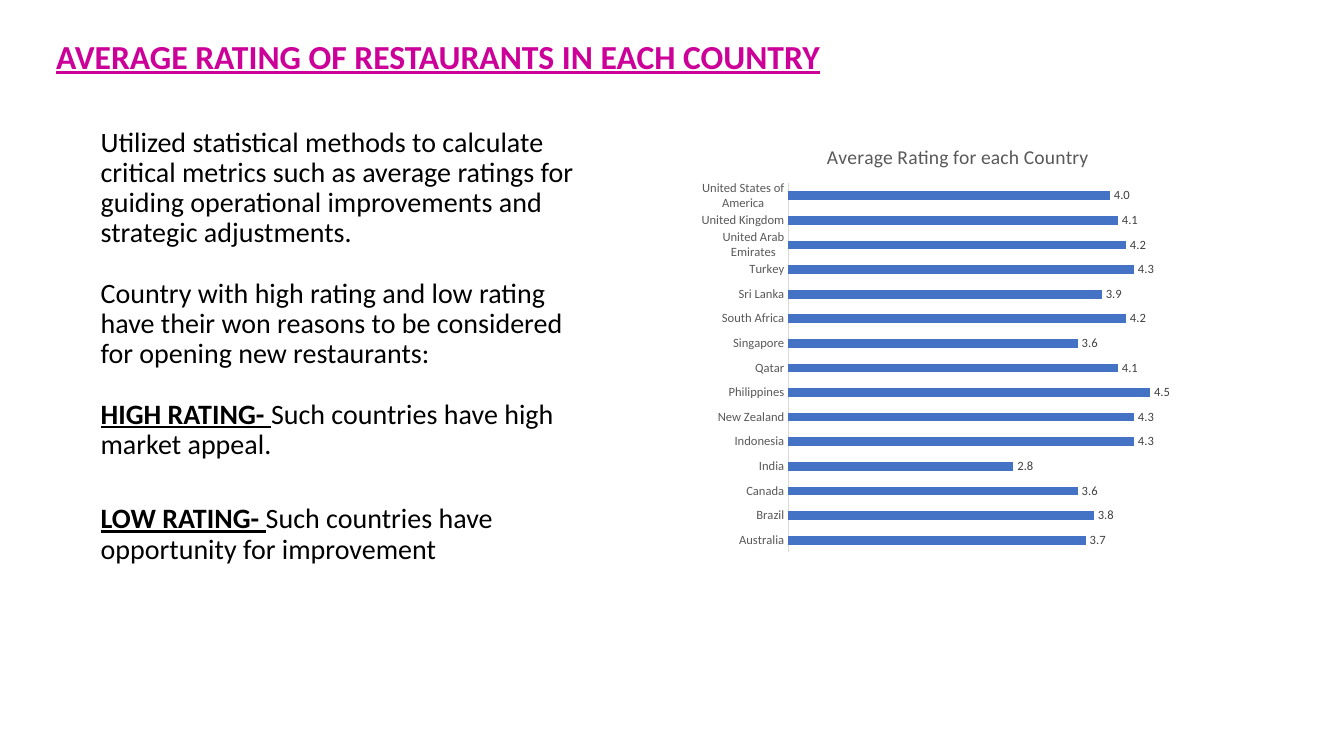
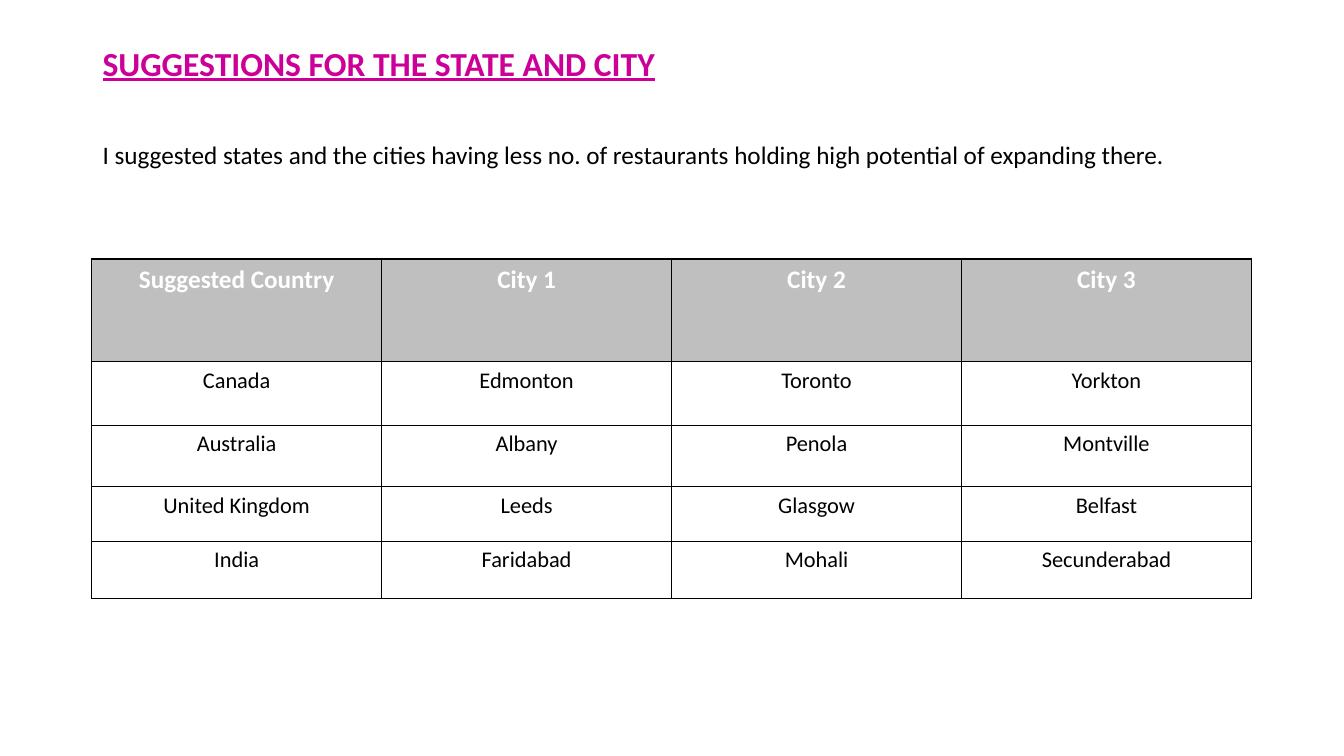
from lxml import etree
from pptx import Presentation
from pptx import util as u
from pptx.chart.data import CategoryChartData
from pptx.dml.color import RGBColor
from pptx.enum import chart as charts, text
from pptx.oxml import ns

Pt = u.Pt
FONT = "Calibri"
COLORS = {
    "title": "CC0099", "body": "000000", "bar": "4472C4", "axis": "D9D9D9",
    "axis_text": "595959", "label": "404040", "header": "BFBFBF",
    "header_text": "FFFFFF", "border": "000000",
}

RATINGS = {
    "Australia": 3.7, "Brazil": 3.8, "Canada": 3.6, "India": 2.8,
    "Indonesia": 4.3, "New Zealand": 4.3, "Philippines": 4.5, "Qatar": 4.1,
    "Singapore": 3.6, "South Africa": 4.2, "Sri Lanka": 3.9, "Turkey": 4.3,
    "United Arab Emirates": 4.2, "United Kingdom": 4.1,
    "United States of America": 4.0,
}
# Each paragraph: space before, underlined lead-in, text
REASONS = [
    (0, "", "Utilized statistical methods to calculate critical metrics such as "
            "average ratings for guiding operational improvements and strategic "
            "adjustments."),
    (21.6, "", "Country with high rating and low rating have their won reasons "
               "to be considered for opening new restaurants:"),
    (21.6, "HIGH RATING- ", "Such countries have high market appeal."),
    (31.6, "LOW RATING- ", "Such countries have opportunity for improvement"),
]
SUGGESTIONS = [
    ["Suggested Country", "City 1", "City 2", "City 3"],
    ["Canada", "Edmonton", "Toronto", "Yorkton"],
    ["Australia", "Albany", "Penola", "Montville"],
    ["United Kingdom", "Leeds", "Glasgow", "Belfast"],
    ["India", "Faridabad", "Mohali", "Secunderabad"],
]
ROW_HEIGHTS = [73.5, 45.3, 44, 39, 41]
COLUMN_WIDTH = 207.1


def rgb(name):
    return RGBColor.from_string(COLORS[name])


def style_font(font, size, color, **formats):
    for key, value in {"name": FONT, "size": Pt(size), **formats}.items():
        setattr(font, key, value)
    font.color.rgb = rgb(color)


def add_run(paragraph, words, size, color, **formats):
    run = paragraph.add_run()
    run.text = words
    style_font(run.font, size, color, **formats)


def add_frame(slide, left, top, width, height):
    frame = slide.shapes.add_textbox(*map(Pt, (left, top, width, height))).text_frame
    frame.word_wrap = True
    return frame


def add_title(slide, words, left, top, height):
    frame = add_frame(slide, left, top, 828, height)
    frame.vertical_anchor = text.MSO_ANCHOR.MIDDLE
    heading = frame.paragraphs[0]
    heading.line_spacing = 0.9
    add_run(heading, words, 24, "title", bold=True, underline=True)


def add_reasons(slide):
    frame = add_frame(slide, 64.8, 87.8, 353.5, 342.7)
    for i, (gap, lead, words) in enumerate(REASONS):
        reason = frame.add_paragraph() if i else frame.paragraphs[0]
        reason.line_spacing = 0.9
        reason.space_before = Pt(gap)
        if lead:
            add_run(reason, lead, 20, "body", bold=True, underline=True)
        add_run(reason, words, 20, "body")


def set_layout(parent, index, **fractions):
    """Place a chart part by fractions of the chart's size."""
    for old in parent.findall(ns.qn("c:layout")):
        parent.remove(old)
    layout = etree.Element(ns.qn("c:layout"))
    manual = etree.SubElement(layout, ns.qn("c:manualLayout"))
    for tag, value in fractions.items():
        etree.SubElement(manual, ns.qn(f"c:{tag}")).set("val", str(value))
    parent.insert(index, layout)


def add_rating_chart(slide):
    data = CategoryChartData(number_format="0.0")
    data.categories = list(RATINGS)
    data.add_series("Series 1", list(RATINGS.values()))
    chart = slide.shapes.add_chart(
        charts.XL_CHART_TYPE.BAR_CLUSTERED,
        *map(Pt, (501.1, 87.1, 360, 313.9)), data).chart
    chart.has_legend = False
    style_font(chart.font, 10, "body")

    # Title
    heading = chart.chart_title.text_frame.paragraphs[0]
    add_run(heading, "Average Rating for each Country", 14, "axis_text", bold=False)

    # Axes
    countries, ratings = chart.category_axis, chart.value_axis
    countries.major_tick_mark = charts.XL_TICK_MARK.NONE
    style_font(countries.tick_labels.font, 9, "axis_text")
    countries.format.line.color.rgb = rgb("axis")
    countries.format.line.width = Pt(0.75)
    for key, value in {"visible": False, "has_major_gridlines": False,
                       "minimum_scale": 0, "maximum_scale": 5}.items():
        setattr(ratings, key, value)

    # Bars and labels
    plot = chart.plots[0]
    plot.gap_width = 182
    plot.vary_by_categories = False
    bars = plot.series[0]
    bars.format.fill.solid()
    bars.format.fill.fore_color.rgb = rgb("bar")
    labels = bars.data_labels
    for key, value in {"show_value": True, "number_format": "0.0",
                       "number_format_is_linked": False,
                       "position": charts.XL_LABEL_POSITION.OUTSIDE_END}.items():
        setattr(labels, key, value)
    style_font(labels.font, 9, "label")

    # Layout
    chart_xml = chart.element.find(ns.qn("c:chart"))
    set_layout(chart_xml.find(ns.qn("c:title")), 1,
               xMode="edge", yMode="edge", x=0.24, y=0.04)
    set_layout(chart_xml.find(ns.qn("c:plotArea")), 0, layoutTarget="inner",
               xMode="edge", yMode="edge", x=0.17, y=0.14, w=0.8, h=0.84)


def add_borders(cell):
    properties = cell._tc.get_or_add_tcPr()
    for i, side in enumerate(("lnL", "lnR", "lnT", "lnB")):
        line = etree.Element(ns.qn(f"a:{side}"), w=str(Pt(1)))
        fill = etree.SubElement(line, ns.qn("a:solidFill"))
        etree.SubElement(fill, ns.qn("a:srgbClr"), val=COLORS["border"])
        properties.insert(i, line)


def fill_cell(cell, words, is_header):
    if is_header:
        cell.fill.solid()
        cell.fill.fore_color.rgb = rgb("header")
    else:
        cell.fill.background()
    entry = cell.text_frame.paragraphs[0]
    entry.alignment = text.PP_ALIGN.CENTER
    size, color = (18, "header_text") if is_header else (16, "body")
    add_run(entry, words, size, color, bold=is_header)
    add_borders(cell)


def add_suggestion_table(slide):
    columns = len(SUGGESTIONS[0])
    table = slide.shapes.add_table(
        len(SUGGESTIONS), columns, Pt(65.5), Pt(185),
        Pt(COLUMN_WIDTH * columns), Pt(sum(ROW_HEIGHTS))).table
    table.first_row = table.horz_banding = False
    for column in table.columns:
        column.width = Pt(COLUMN_WIDTH)
    for r, (height, names) in enumerate(zip(ROW_HEIGHTS, SUGGESTIONS)):
        table.rows[r].height = Pt(height)
        for c, name in enumerate(names):
            fill_cell(table.cell(r, c), name, r == 0)


def main():
    deck = Presentation()
    deck.slide_width, deck.slide_height = Pt(960), Pt(540)
    blank = deck.slide_layouts[6]

    # Average ratings
    ratings = deck.slides.add_slide(blank)
    add_title(ratings, "AVERAGE RATING OF RESTAURANTS IN EACH COUNTRY", 33.1, 25.9, 31.7)
    add_reasons(ratings)
    add_rating_chart(ratings)

    # Suggested places
    suggestions = deck.slides.add_slide(blank)
    add_title(suggestions, "SUGGESTIONS FOR THE STATE AND CITY", 66.2, 28.8, 36)
    intro = add_frame(suggestions, 66.2, 95.8, 828, 28.8)
    add_run(intro.paragraphs[0],
            "I suggested states and the cities having less no. of restaurants "
            "holding high potential of expanding there.", 18, "body")
    add_suggestion_table(suggestions)

    deck.save("out.pptx")


if __name__ == "__main__":
    main()
